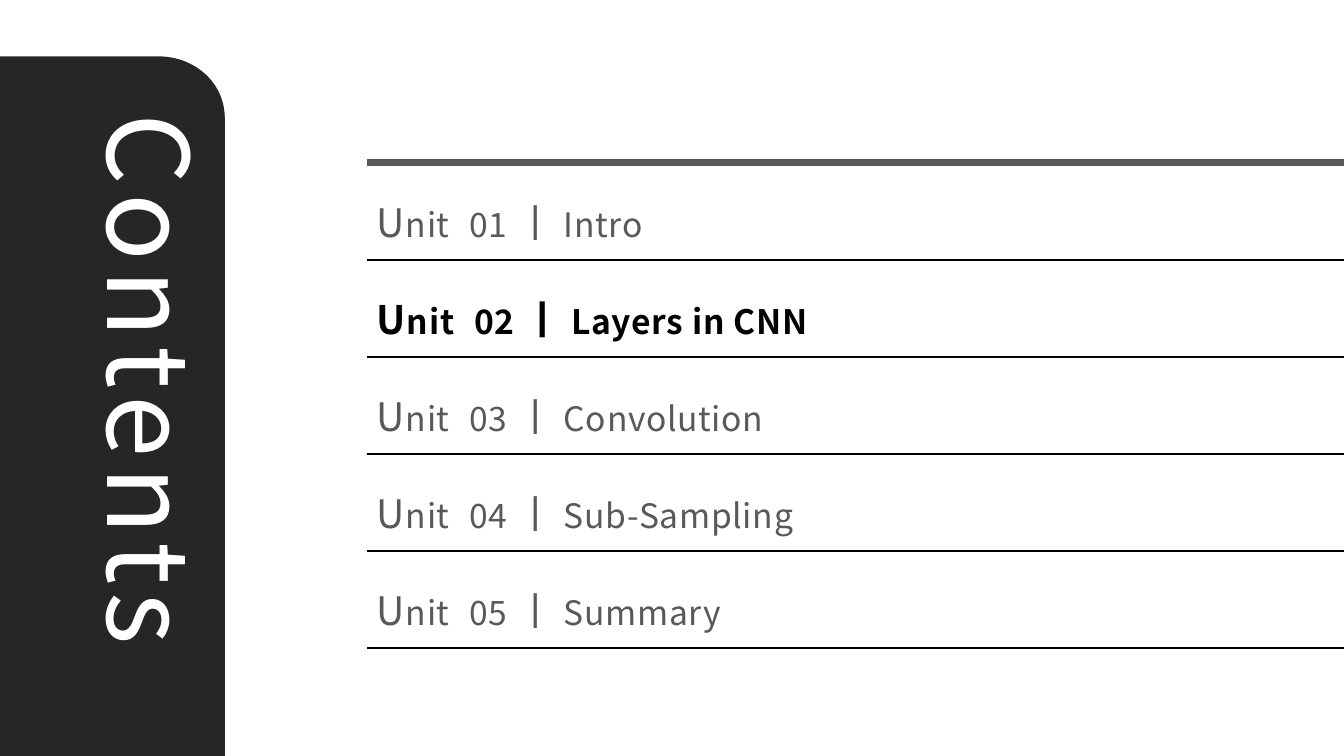
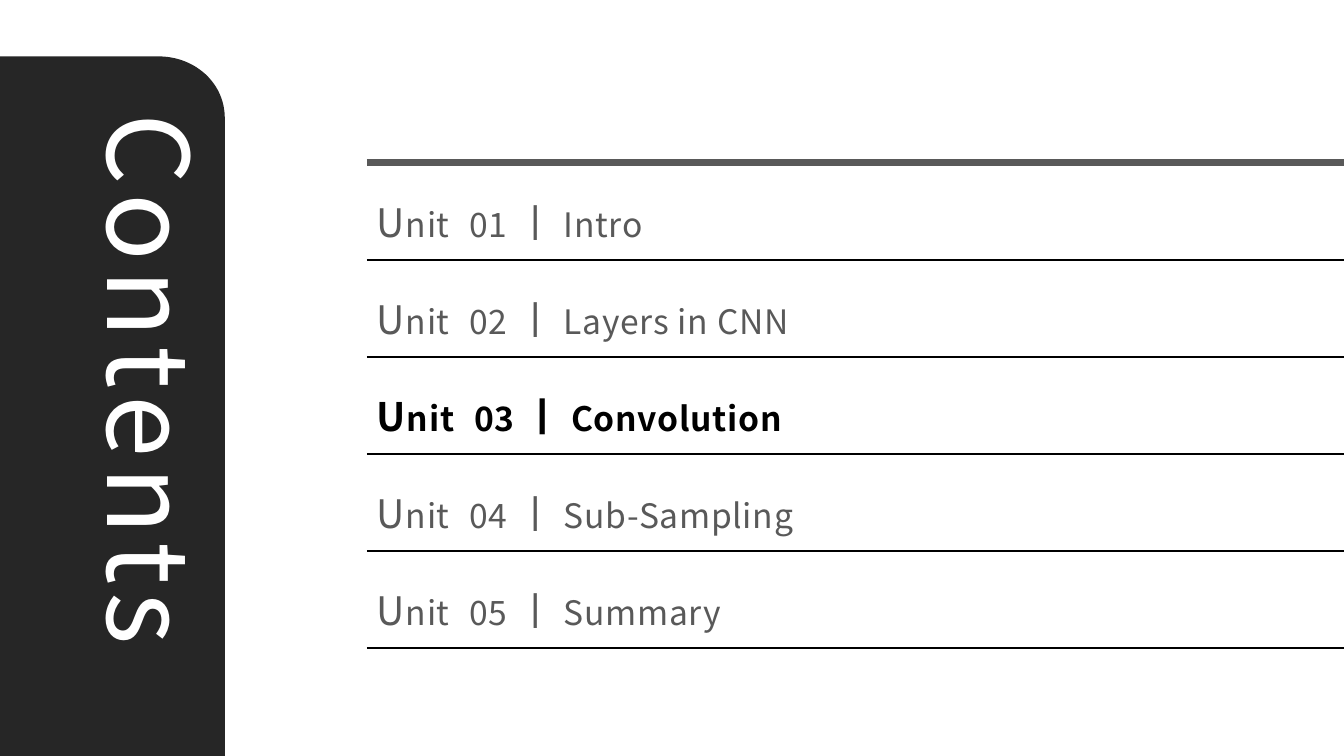
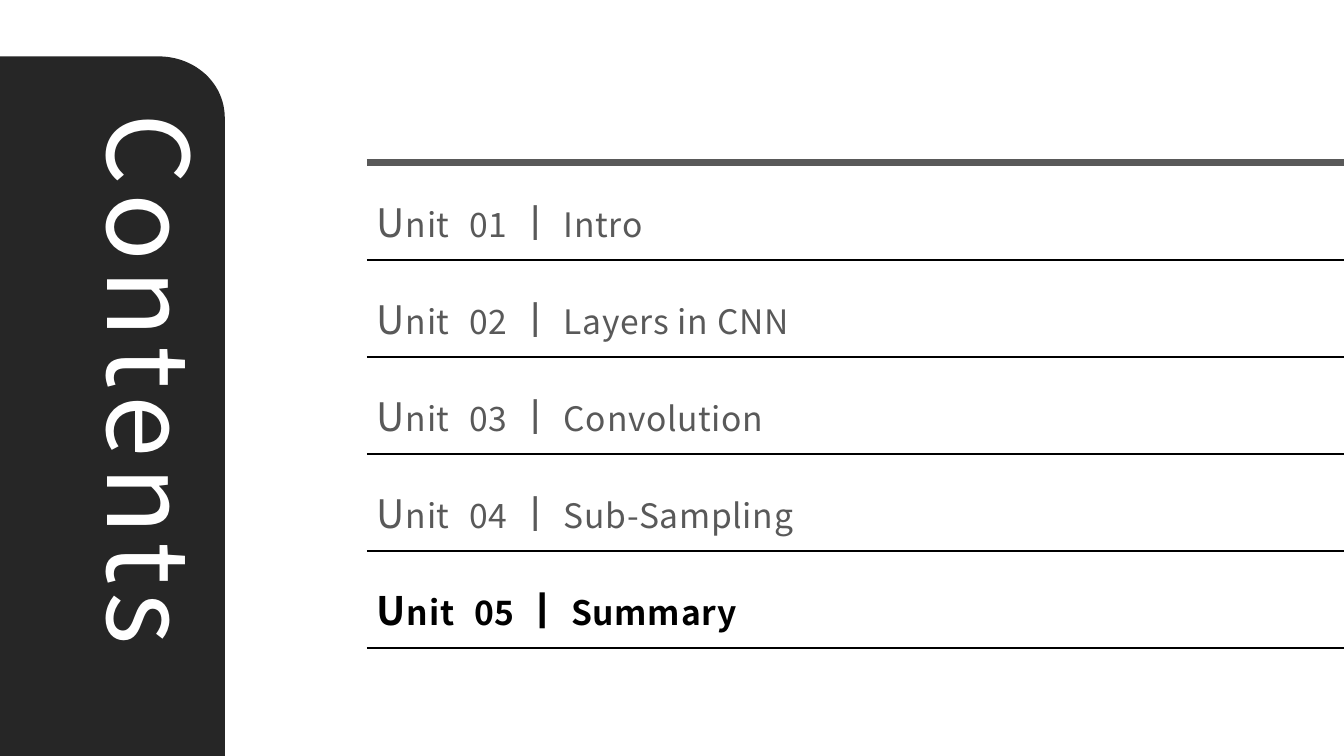
from dataclasses import dataclass

from lxml.etree import SubElement
from pptx import Presentation
from pptx.dml.color import RGBColor
from pptx.enum.shapes import MSO_CONNECTOR
from pptx.enum.text import MSO_ANCHOR, MSO_AUTO_SIZE
from pptx.oxml.ns import qn
from pptx.slide import Slide
from pptx.text.text import _Paragraph as Paragraph
from pptx.util import Inches, Pt

# Shared look
FONT = "Noto Sans CJK KR"
WHITE = RGBColor(0xFF, 0xFF, 0xFF)
BLACK = RGBColor(0x00, 0x00, 0x00)
GRAY = RGBColor(0x59, 0x59, 0x59)
CHARCOAL = RGBColor(0x26, 0x26, 0x26)

SLIDE_WIDTH, SLIDE_HEIGHT = 13.33, 7.5
LIST_LEFT, TEXT_WIDTH, TEXT_HEIGHT = 3.64, 9.43, 0.77
TOP_RULE, FIRST_RULE, LAST_RULE = 1.61, 2.58, 6.43
LARGE, SMALL = 28, 24
LETTER_SPACING, GAP_SPACING = 0.5, 7.3

# Sidebar outline: straight edges plus one curved corner
SIDEBAR_WIDTH, SIDEBAR_TOP = 2.23, 0.56
CORNER = ((1.57, 0.56), (1.94, 0.56), (2.23, 0.83), (2.23, 1.17))
CURVE_STEPS = 24


@dataclass(frozen=True)
class Unit:
    number: str
    title: str


@dataclass(frozen=True)
class TextPart:
    text: str
    size: float
    spacing: float = LETTER_SPACING


UNITS = (
    Unit("01", "Intro"),
    Unit("02", "Layers in CNN"),
    Unit("03", "Convolution"),
    Unit("04", "Sub-Sampling"),
    Unit("05", "Summary"),
)
CURRENT_UNITS = ("02", "03", "05")


def corner_point(t: float) -> tuple[float, float]:
    """Point on the cubic curve of the sidebar corner, t from 0 to 1."""
    s = 1 - t
    weights = (s**3, 3 * s * s * t, 3 * s * t * t, t**3)
    x, y = (sum(w * p[axis] for w, p in zip(weights, CORNER)) for axis in (0, 1))
    return Inches(x), Inches(y)


def write_parts(paragraph: Paragraph, parts: list[TextPart], color: RGBColor,
                bold: bool = False) -> None:
    paragraph.font.name = FONT
    paragraph.font.bold = bold
    paragraph.font.color.rgb = color
    defaults = paragraph._p.get_or_add_pPr().get_or_add_defRPr()
    SubElement(defaults, qn("a:ea"), typeface=FONT)
    for part in parts:
        run = paragraph.add_run()
        run.text = part.text
        run.font.size = Pt(part.size)
        run._r.get_or_add_rPr().set("spc", str(round(part.spacing * 100)))


def add_sidebar(slide: Slide) -> None:
    # Dark panel
    builder = slide.shapes.build_freeform(0, Inches(SIDEBAR_TOP))
    curve = [corner_point(step / CURVE_STEPS) for step in range(CURVE_STEPS + 1)]
    bottom = Inches(SLIDE_HEIGHT)
    builder.add_line_segments([*curve, (Inches(SIDEBAR_WIDTH), bottom), (0, bottom)])
    panel = builder.convert_to_shape()
    panel.shadow.inherit = False
    panel.fill.solid()
    panel.fill.fore_color.rgb = CHARCOAL
    panel.line.fill.background()

    # Vertical heading
    heading = slide.shapes.add_textbox(
        Inches(-1.98), Inches(3.79), Inches(6.97), Inches(1.45))
    heading.rotation = 90
    frame = heading.text_frame
    frame.word_wrap = True
    frame.auto_size = MSO_AUTO_SIZE.SHAPE_TO_FIT_TEXT
    write_parts(frame.paragraphs[0], [TextPart("Contents", 80, 6)], WHITE)


def add_rule(slide: Slide, top: float, color: RGBColor, weight: float) -> None:
    rule = slide.shapes.add_connector(
        MSO_CONNECTOR.STRAIGHT, Inches(LIST_LEFT), Inches(top),
        Inches(SLIDE_WIDTH), Inches(top))
    rule.line.color.rgb = color
    rule.line.width = Pt(weight)
    SubElement(rule._element.spPr, qn("a:effectLst"))


def add_unit(slide: Slide, unit: Unit, rule_top: float, current: bool) -> None:
    box = slide.shapes.add_textbox(
        Inches(LIST_LEFT), Inches(rule_top - TEXT_HEIGHT + 0.01),
        Inches(TEXT_WIDTH), Inches(TEXT_HEIGHT))
    frame = box.text_frame
    frame.word_wrap = True
    frame.vertical_anchor = MSO_ANCHOR.MIDDLE
    parts = [
        TextPart("U", LARGE),
        TextPart("nit", SMALL),
        TextPart(" ", LARGE, GAP_SPACING),
        TextPart(unit.number, SMALL),
        TextPart(" ㅣ ", LARGE),
        TextPart(unit.title, SMALL),
    ]
    write_parts(frame.paragraphs[0], parts, BLACK if current else GRAY, current)
    add_rule(slide, rule_top, BLACK, 1)


def add_contents_slide(presentation: Presentation, current_number: str) -> None:
    slide = presentation.slides.add_slide(presentation.slide_layouts[6])
    add_sidebar(slide)
    add_rule(slide, TOP_RULE, GRAY, 5)
    pitch = (LAST_RULE - FIRST_RULE) / (len(UNITS) - 1)
    for index, unit in enumerate(UNITS):
        add_unit(slide, unit, FIRST_RULE + index * pitch, unit.number == current_number)


def main() -> None:
    presentation = Presentation()
    presentation.slide_width = Inches(SLIDE_WIDTH)
    presentation.slide_height = Inches(SLIDE_HEIGHT)
    for number in CURRENT_UNITS:
        add_contents_slide(presentation, number)
    presentation.save("out.pptx")


if __name__ == "__main__":
    main()
